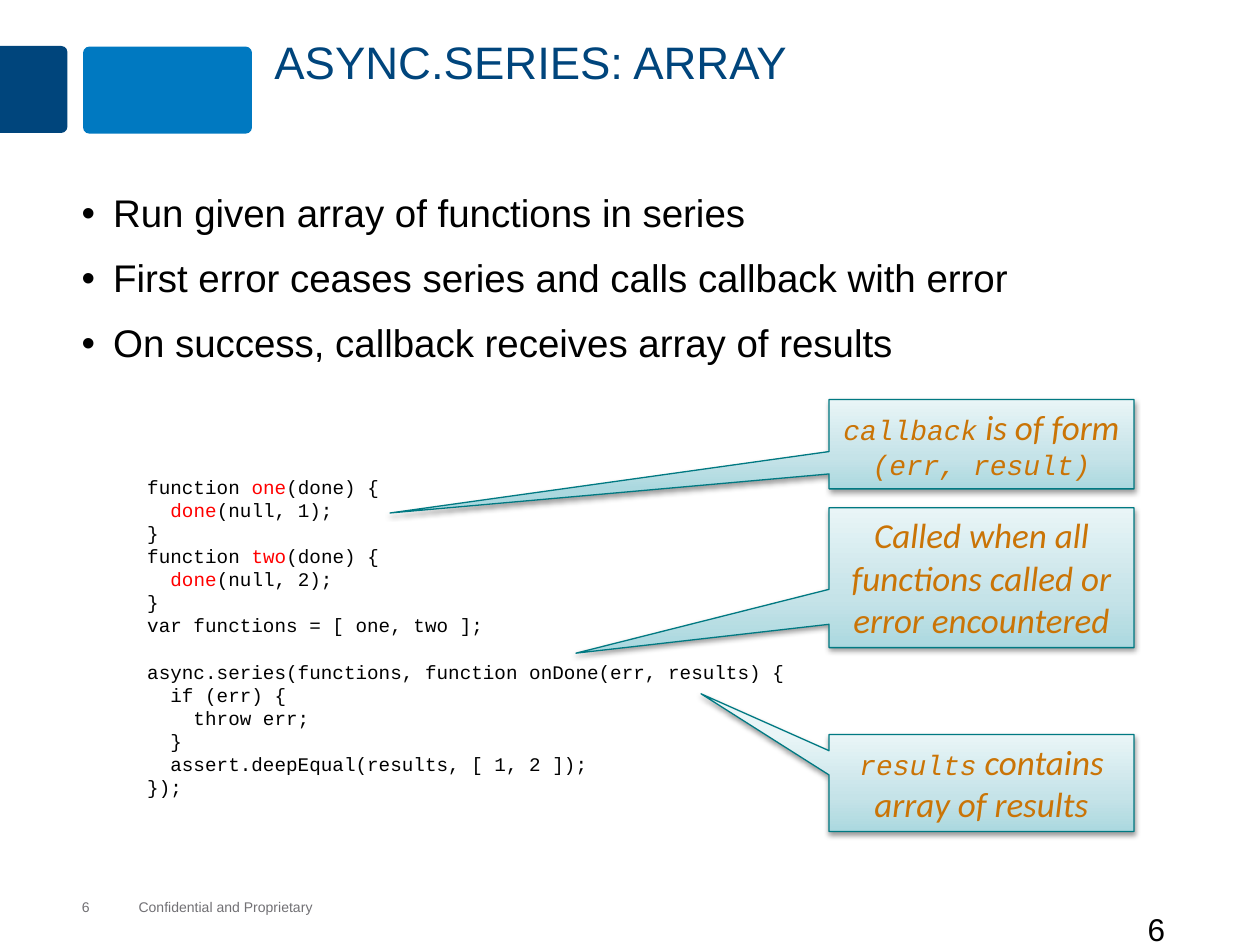
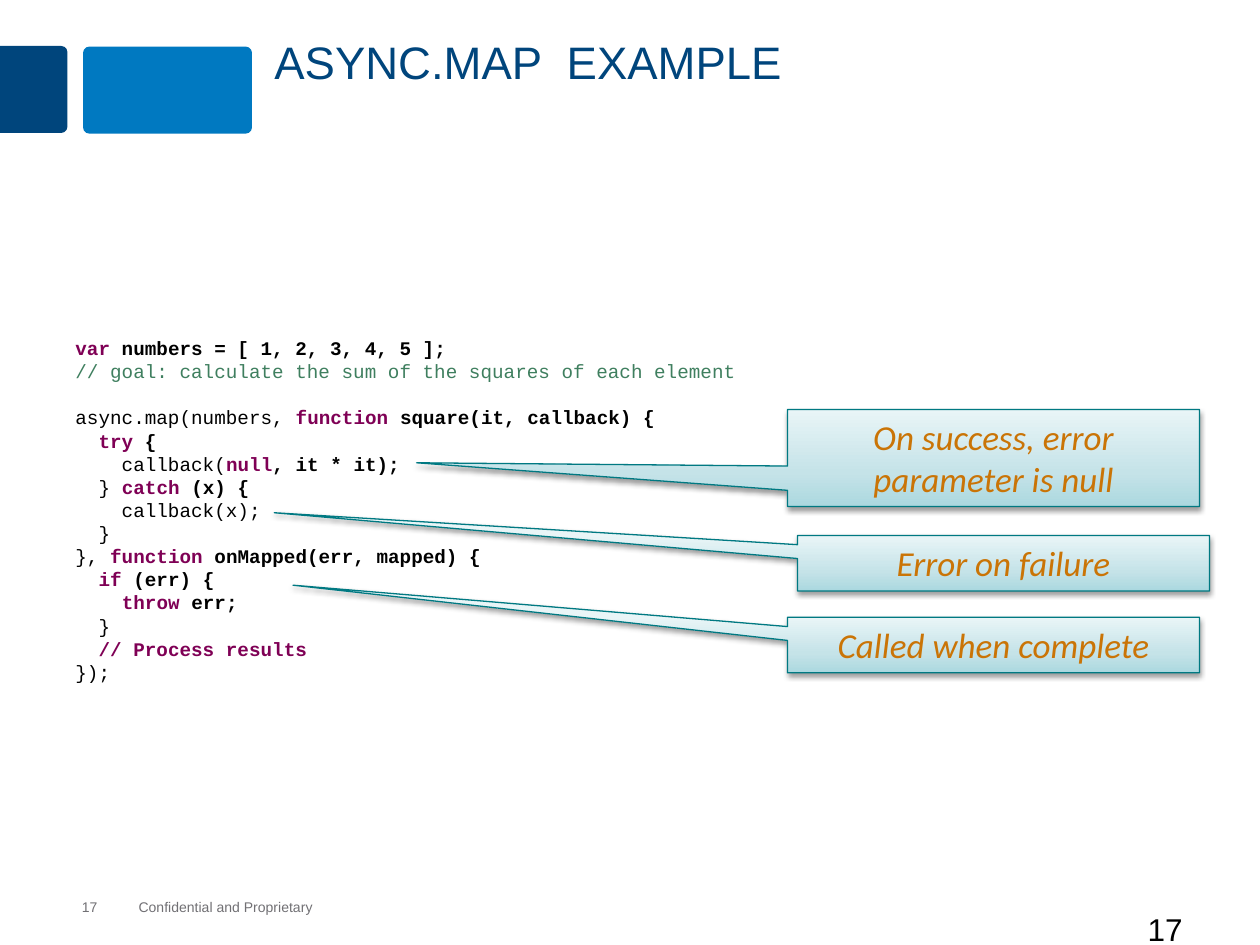
import pptx
import pptx.dml.color
import pptx.enum.shapes
import pptx.enum.text
import pptx.oxml.ns
import pptx.util
from lxml import etree

Inches = pptx.util.Inches
Pt = pptx.util.Pt
RGBColor = pptx.dml.color.RGBColor
Shapes = pptx.enum.shapes.MSO_SHAPE
Align = pptx.enum.text.PP_ALIGN
Anchor = pptx.enum.text.MSO_ANCHOR
qn = pptx.oxml.ns.qn

NAVY = RGBColor(0x00, 0x45, 0x7C)
BLUE = RGBColor(0x00, 0x79, 0xC1)
GRAY = RGBColor(0x71, 0x70, 0x74)
BLACK = RGBColor(0x00, 0x00, 0x00)
RED = RGBColor(0xFF, 0x00, 0x00)
PURPLE = RGBColor(0x7F, 0x00, 0x55)
GREEN = RGBColor(0x3F, 0x7F, 0x5F)
ORANGE = RGBColor(0xCA, 0x74, 0x06)
TEAL = RGBColor(0x00, 0x79, 0x82)
CALLOUT_STOPS = [
    (0, RGBColor(0xAB, 0xD8, 0xDF)),
    (35, RGBColor(0xC5, 0xE3, 0xE8)),
    (100, RGBColor(0xE9, 0xF5, 0xF7)),
]

SANS, CALLOUT_FONT, MONO = "Arial", "Calibri", "Courier New"
CODE_PITCH = Pt(13.2)
BULLET_INDENT = Inches(0.25)

MARKED = {"color": RED}
KEYWORD = {"color": PURPLE, "bold": True}
REMARK = {"color": GREEN}
STRONG = {"bold": True}
CODE_TERM = {"font": MONO, "size": 16}

SERIES_BULLETS = [
    "Run given array of functions in series",
    "First error ceases series and calls callback with error",
    "On success, callback receives array of results",
]
SERIES_CODE = [
    ["function ", ("one", MARKED), "(done) {"],
    ["  ", ("done", MARKED), "(null, 1);"],
    "}",
    ["function ", ("two", MARKED), "(done) {"],
    ["  ", ("done", MARKED), "(null, 2);"],
    "}",
    "var functions = [ one, two ];",
    "",
    "async.series(functions, function onDone(err, results) {",
    "  if (err) {",
    "    throw err;",
    "  }",
    "  assert.deepEqual(results, [ 1, 2 ]);",
    "});",
]
MAP_CODE = [
    [("var", KEYWORD), (" numbers = [ 1, 2, 3, 4, 5 ];", STRONG)],
    [("// goal: calculate the sum of the squares of each element", REMARK)],
    "",
    ["async.map(numbers, ", ("function", KEYWORD),
     (" square(it, callback) {", STRONG)],
    ["  ", ("try", KEYWORD), (" {", STRONG)],
    ["    callback(", ("null", KEYWORD), (", it * it);", STRONG)],
    ["  } ", ("catch", KEYWORD), (" (x) {", STRONG)],
    "    callback(x);",
    "  }",
    ["}, ", ("function ", KEYWORD), ("onMapped(err, mapped) {", STRONG)],
    ["  ", ("if", KEYWORD), (" (err) {", STRONG)],
    ["    ", ("throw", KEYWORD), (" err;", STRONG)],
    "  }",
    ["  ", ("// Process results", KEYWORD)],
    "});",
]

# Box (left, top, width, height), pointer offsets, text spans
SERIES_CALLOUTS = [
    ((6.58, 3.17, 2.42, 0.71), (-1.94, 0.77),
     [("callback", CODE_TERM), " is of form ", ("(err, result)", CODE_TERM)]),
    ((6.58, 4.03, 2.42, 1.11), (-1.33, 0.54),
     "Called when all functions called or error encountered"),
    ((6.58, 5.83, 2.42, 0.77), (-0.92, -0.92),
     [("results", CODE_TERM), " contains array of results"]),
]
MAP_CALLOUTS = [
    ((6.25, 4.9, 3.27, 0.44), (-1.7, -1.08), "Called when complete"),
    ((6.25, 3.25, 3.27, 0.77), (-1.4, 0.05),
     "On success, error parameter is null"),
    ((6.33, 4.25, 3.27, 0.44), (-1.77, -0.91), "Error on failure"),
]


def add_bullet(para):
    properties = para._p.get_or_add_pPr()
    properties.set("marL", str(BULLET_INDENT))
    properties.set("indent", str(-BULLET_INDENT))
    etree.SubElement(properties, qn("a:buFont"), typeface="Arial")
    etree.SubElement(properties, qn("a:buChar"), char="•")


def add_span(para, text, font=SANS, size=18, color=BLACK, bold=False,
             italic=False):
    span = para.add_run()
    span.text = text
    span.font.name = font
    span.font.size = Pt(size)
    span.font.color.rgb = color
    span.font.bold = bold
    span.font.italic = italic


def write_text(frame, paragraphs, align=Align.LEFT, anchor=Anchor.TOP,
               wrap=True, spacing=None, gap=None, bullet=False, **style):
    """Fill a frame; an empty paragraph becomes one line of space before the next."""
    frame.word_wrap = wrap
    frame.vertical_anchor = anchor
    para = None
    blank = False
    for spans in paragraphs:
        if not spans:
            blank = True
            continue
        first = para is None
        para = frame.paragraphs[0] if first else frame.add_paragraph()
        if bullet:
            add_bullet(para)
        para.alignment = align
        if spacing:
            para.line_spacing = spacing
        if blank:
            para.space_before = spacing
        elif gap and not first:
            para.space_before = gap
        blank = False
        for span in [spans] if isinstance(spans, str) else spans:
            text, changes = (span, {}) if isinstance(span, str) else span
            add_span(para, text, **{**style, **changes})


def add_text(page, box, paragraphs, insets=(0.1, 0.05, 0.1, 0.05), **style):
    frame = page.shapes.add_textbox(*map(Inches, box)).text_frame
    (frame.margin_left, frame.margin_top,
     frame.margin_right, frame.margin_bottom) = map(Inches, insets)
    write_text(frame, paragraphs, **style)


def add_band(page, kind, box, adjustment, color):
    band = page.shapes.add_shape(kind, *map(Inches, box))
    band.adjustments[0] = adjustment
    band.shadow.inherit = False
    band.fill.solid()
    band.fill.fore_color.rgb = color
    band.line.fill.background()
    return band


def add_header(page, title):
    edge = add_band(page, Shapes.ROUND_2_SAME_RECTANGLE,
                    (-0.08, 0.44, 0.69, 0.54), 0.09, NAVY)
    edge.rotation = 90
    add_band(page, Shapes.ROUNDED_RECTANGLE,
             (0.66, 0.37, 1.34, 0.69), 0.07, BLUE)
    add_text(page, (2.08, 0.25, 7.67, 0.91), [title], size=26, color=NAVY,
             spacing=0.95)


def add_footer(page, number):
    small = {"insets": (0, 0, 0, 0), "anchor": Anchor.MIDDLE,
             "size": 8, "color": GRAY}
    add_text(page, (1.1, 7.13, 1.4, 0.13), ["Confidential and Proprietary"],
             wrap=False, **small)
    add_text(page, (0.65, 7.13, 0.63, 0.13), [number], **small)
    add_text(page, (9.01, 7.17, 0.99, 0.5), [number])


def add_code(page, box, lines, top_inset=0.05):
    add_text(page, box, lines, insets=(0.1, top_inset, 0.1, 0.05), wrap=False,
             font=MONO, size=11, spacing=CODE_PITCH)


def paint_callout(shape):
    """Give a callout its three-stop gradient, outline and soft shadow."""
    shape.fill.gradient()
    shape.fill.gradient_angle = 90
    properties = shape.element.spPr
    stops = properties.find(".//" + qn("a:gsLst"))
    stops.clear()
    for percent, color in CALLOUT_STOPS:
        stop = etree.SubElement(stops, qn("a:gs"), pos=str(percent * 1000))
        etree.SubElement(stop, qn("a:srgbClr"), val=str(color))
    shape.line.color.rgb = TEAL
    shape.line.width = Pt(0.75)
    shape.shadow.inherit = False
    shadow = etree.SubElement(
        properties.find(qn("a:effectLst")), qn("a:outerShdw"),
        blurRad=str(Pt(3.1)), dist=str(Pt(1.6)), dir="5400000", rotWithShape="0")
    tint = etree.SubElement(shadow, qn("a:srgbClr"), val=str(BLACK))
    etree.SubElement(tint, qn("a:alpha"), val="38000")


def add_callout(page, box, pointer, text):
    callout = page.shapes.add_shape(Shapes.RECTANGULAR_CALLOUT,
                                    *map(Inches, box))
    callout.adjustments[0], callout.adjustments[1] = pointer
    paint_callout(callout)
    write_text(callout.text_frame, [text], align=Align.CENTER,
               font=CALLOUT_FONT, size=20, color=ORANGE, italic=True)


def add_page(deck, title, number):
    page = deck.slides.add_slide(deck.slide_layouts[6])
    add_header(page, title)
    add_footer(page, number)
    return page


def build_series_page(deck):
    page = add_page(deck, "ASYNC.SERIES: ARRAY", "6")
    add_text(page, (0.55, 1.48, 8.87, 5.27), SERIES_BULLETS, size=22,
             spacing=0.95, gap=Pt(12), bullet=True)
    add_code(page, (1.07, 3.72, 5.29, 2.69), SERIES_CODE)
    for callout in SERIES_CALLOUTS:
        add_callout(page, *callout)


def build_map_page(deck):
    page = add_page(deck, "ASYNC.MAP  EXAMPLE", "17")
    add_code(page, (0.5, 2.44, 5.48, 3.06), MAP_CODE, top_inset=0.23)
    for callout in MAP_CALLOUTS:
        add_callout(page, *callout)


def main():
    deck = pptx.Presentation()
    deck.slide_width = Inches(10)
    deck.slide_height = Inches(7.5)
    build_series_page(deck)
    build_map_page(deck)
    deck.save("out.pptx")


if __name__ == "__main__":
    main()
